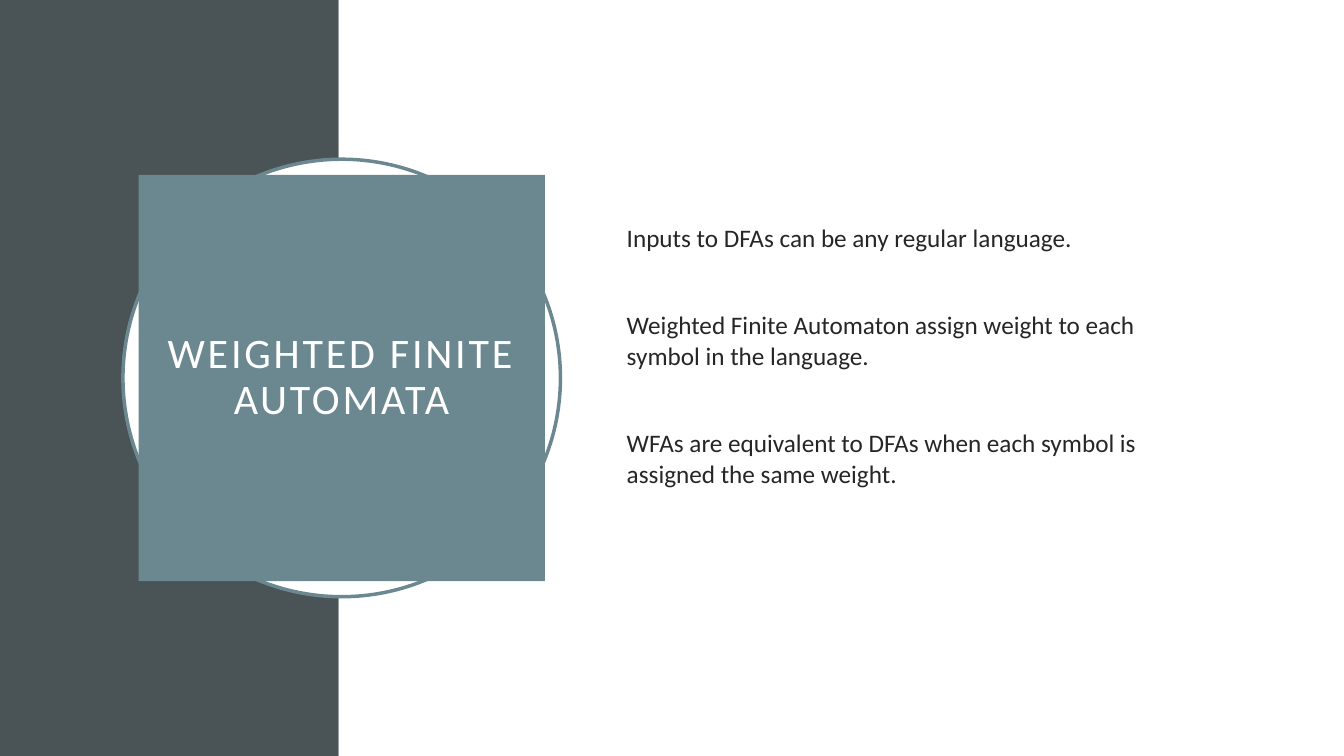
from dataclasses import dataclass
from typing import Optional

import pptx
import pptx.dml.color
import pptx.enum.shapes
import pptx.enum.text
import pptx.util

Pt = pptx.util.Pt
RGBColor = pptx.dml.color.RGBColor
SHAPE = pptx.enum.shapes.MSO_SHAPE
ALIGN = pptx.enum.text.PP_ALIGN
MIDDLE = pptx.enum.text.MSO_ANCHOR.MIDDLE

SLATE = RGBColor(0x4A, 0x53, 0x56)
TEAL = RGBColor(0x6B, 0x88, 0x91)
WHITE = RGBColor(0xFF, 0xFF, 0xFF)
INK = RGBColor(0x26, 0x26, 0x26)

WIDTH, HEIGHT = 960, 540
BAND_WIDTH = 242
BADGE_X, BADGE_Y = 244.1, 270
TITLE = "WEIGHTED FINITE AUTOMATA"
STATEMENTS = (
    "Inputs to DFAs can be any regular language.",
    "Weighted Finite Automaton assign weight to each symbol in the language.",
    "WFAs are equivalent to DFAs when each symbol is assigned the same weight.",
)


@dataclass(frozen=True)
class Panel:
    kind: int
    left: float
    top: float
    width: float
    height: float
    fill: RGBColor
    outline: Optional[RGBColor] = None


def centred(kind: int, side: float, fill: RGBColor,
            outline: Optional[RGBColor] = None) -> Panel:
    """Square panel around the badge centre."""
    return Panel(kind, BADGE_X - side / 2, BADGE_Y - side / 2, side, side, fill, outline)


def draw_panel(slide, panel: Panel):
    shape = slide.shapes.add_shape(
        panel.kind, Pt(panel.left), Pt(panel.top), Pt(panel.width), Pt(panel.height))
    shape.shadow.inherit = False
    shape.fill.solid()
    shape.fill.fore_color.rgb = panel.fill
    if panel.outline is None:
        shape.line.fill.background()
    else:
        shape.line.color.rgb = panel.outline
        shape.line.width = Pt(2.5)
    return shape


def apply(target, formats: dict) -> None:
    for name, value in formats.items():
        setattr(target, name, value)


def write(paragraph, text: str, size: float, color: RGBColor, formats: dict):
    apply(paragraph, formats)
    run = paragraph.add_run()
    run.text = text
    apply(run.font, {"name": "Calibri", "size": Pt(size)})
    run.font.color.rgb = color
    return run


def main() -> None:
    deck = pptx.Presentation()
    apply(deck, {"slide_width": Pt(WIDTH), "slide_height": Pt(HEIGHT)})
    slide = deck.slides.add_slide(deck.slide_layouts[6])

    # Background halves, ring and title square
    panels = (
        Panel(SHAPE.RECTANGLE, 0, 0, BAND_WIDTH, HEIGHT, SLATE),
        Panel(SHAPE.RECTANGLE, BAND_WIDTH, 0, WIDTH - BAND_WIDTH, HEIGHT, WHITE),
        centred(SHAPE.OVAL, 312.5, WHITE, TEAL),
        centred(SHAPE.RECTANGLE, 290.2, TEAL),
    )
    badge = [draw_panel(slide, panel) for panel in panels][-1]

    # Title
    title = badge.text_frame
    apply(title, {"word_wrap": True, "vertical_anchor": MIDDLE,
                  **{f"margin_{side}": Pt(14.4) for side in ("left", "top", "right", "bottom")}})
    heading = write(title.paragraphs[0], TITLE, 30, WHITE,
                    {"alignment": ALIGN.CENTER, "line_spacing": 0.9})
    heading.font._element.set("spc", "200")  # letter spacing of 2 pt

    # Statements, raised by a deep bottom margin
    statements = slide.shapes.add_textbox(Pt(440.6), Pt(110.2), Pt(419), Pt(319)).text_frame
    apply(statements, {"word_wrap": True, "vertical_anchor": MIDDLE, "margin_bottom": Pt(35.6)})
    for index, statement in enumerate(STATEMENTS):
        paragraph = statements.add_paragraph() if index else statements.paragraphs[0]
        write(paragraph, statement, 18, INK,
              {"alignment": ALIGN.LEFT, "space_before": Pt(41 if index else 10)})

    deck.save("out.pptx")


if __name__ == "__main__":
    main()
